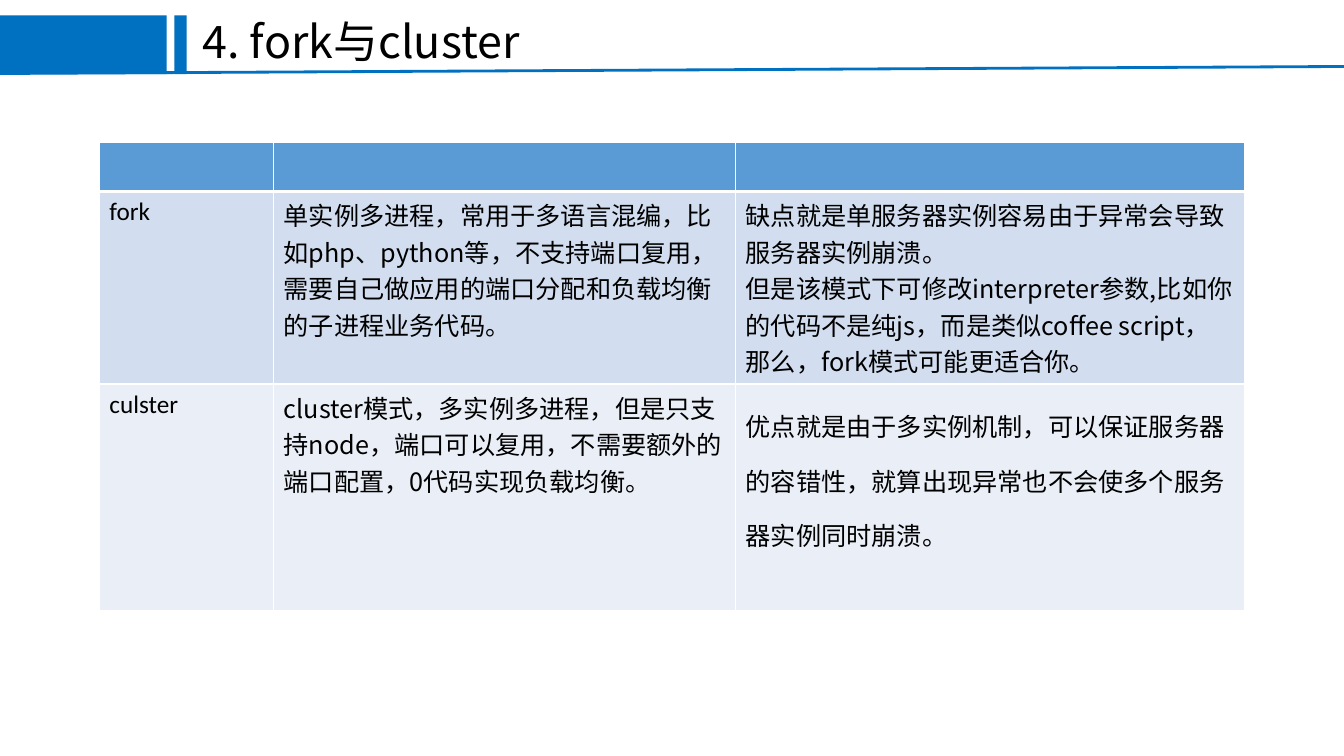
"""Builds a slide comparing the fork and cluster process modes in a table."""
from lxml.etree import SubElement
from pptx import Presentation
from pptx.dml.color import RGBColor as RGB
from pptx.enum.shapes import MSO_CONNECTOR, MSO_SHAPE
from pptx.enum.text import MSO_ANCHOR, MSO_AUTO_SIZE, PP_ALIGN
from pptx.oxml import parse_xml
from pptx.oxml.ns import nsdecls, qn
from pptx.util import Pt

TITLE = "4. fork与cluster"
ROWS = [
    [[], [], []],
    [["fork"],
     ["单实例多进程，常用于多语言混编，比如php、python等，不支持端口复用，"
      "需要自己做应用的端口分配和负载均衡的子进程业务代码。"],
     ["缺点就是单服务器实例容易由于异常会导致服务器实例崩溃。",
      "但是该模式下可修改interpreter参数,比如你的代码不是纯js，"
      "而是类似coffee script，那么，fork模式可能更适合你。"]],
    [["culster"],
     ["cluster模式，多实例多进程，但是只支持node，端口可以复用，"
      "不需要额外的端口配置，0代码实现负载均衡。"],
     ["优点就是由于多实例机制，可以保证服务器的容错性，"
      "就算出现异常也不会使多个服务器实例同时崩溃。"]],
]
COLORS = {"accent": "0070C0", "text": "000000", "border": "FFFFFF",
          "header": "5B9BD5", "fork": "D2DEEF", "cluster": "EAEFF7"}
LABEL_FONT, BODY_FONT = "Calibri", "Noto Sans CJK SC"
ROW_FILLS = ["header", "fork", "cluster"]
COL_WIDTHS = [124.5, 330, 363.8]
ROW_HEIGHTS = [35, 136.8, 162]
SPACED_CELL = (2, 2)
BARS = [(0, 119), (124.5, 8.9)]


def color(name):
    return RGB.from_string(COLORS[name])


def add_run(p, text, size, font):
    r = p.add_run()
    r.text = text
    r.font.size = Pt(size)
    r.font.bold = False
    r.font.name = font
    r.font.color.rgb = color("text")
    SubElement(r.font._element, qn("a:ea")).set("typeface", font)


def add_borders(cell, row):
    tcPr = cell._tc.get_or_add_tcPr()
    widths = {"L": 1, "R": 1, "T": 3 if row == 1 else 1, "B": 3 if row == 0 else 1}
    for i, (side, width) in enumerate(widths.items()):
        tcPr.insert(i, parse_xml(
            f'<a:ln{side} {nsdecls("a")} w="{Pt(width)}"><a:solidFill>'
            f'<a:srgbClr val="{COLORS["border"]}"/></a:solidFill></a:ln{side}>'))


def add_header(s):
    for left, width in BARS:
        sp = s.shapes.add_shape(MSO_SHAPE.RECTANGLE, Pt(left), Pt(11), Pt(width), Pt(42))
        sp.shadow.inherit = False
        sp.fill.solid()
        sp.fill.fore_color.rgb = color("accent")
        sp.line.fill.background()
    rule = s.shapes.add_connector(MSO_CONNECTOR.STRAIGHT, 0, Pt(52.5), Pt(960), Pt(47.5))
    rule.line.color.rgb = color("accent")
    rule.line.width = Pt(2)
    SubElement(rule._element.spPr, qn("a:effectLst"))

    title = s.shapes.title
    title.left, title.top, title.width, title.height = Pt(137.5), Pt(5.8), Pt(587), Pt(46)
    tf = title.text_frame
    tf.auto_size = MSO_AUTO_SIZE.NONE
    tf.vertical_anchor = MSO_ANCHOR.MIDDLE
    p = tf.paragraphs[0]
    p.alignment = PP_ALIGN.LEFT
    p.line_spacing = 1.0
    p.space_before = Pt(0)
    add_run(p, TITLE, 32, BODY_FONT)


def add_modes_table(s):
    table = s.shapes.add_table(len(ROWS), len(COL_WIDTHS), Pt(71), Pt(101.8),
                               Pt(sum(COL_WIDTHS)), Pt(sum(ROW_HEIGHTS))).table
    for col, width in zip(table.columns, COL_WIDTHS):
        col.width = Pt(width)
    for i, (height, cells) in enumerate(zip(ROW_HEIGHTS, ROWS)):
        table.rows[i].height = Pt(height)
        for j, paragraphs in enumerate(cells):
            cell = table.cell(i, j)
            cell.fill.solid()
            cell.fill.fore_color.rgb = color(ROW_FILLS[i])
            add_borders(cell, i)
            tf = cell.text_frame
            for k, text in enumerate(paragraphs):
                p = tf.add_paragraph() if k else tf.paragraphs[0]
                if (i, j) == SPACED_CELL:
                    p.line_spacing = 1.5
                add_run(p, text, 18, BODY_FONT if j else LABEL_FONT)


def main():
    prs = Presentation()
    prs.slide_width, prs.slide_height = Pt(960), Pt(540)
    s = prs.slides.add_slide(prs.slide_layouts[5])
    add_header(s)
    add_modes_table(s)
    prs.save("out.pptx")


if __name__ == "__main__":
    main()
